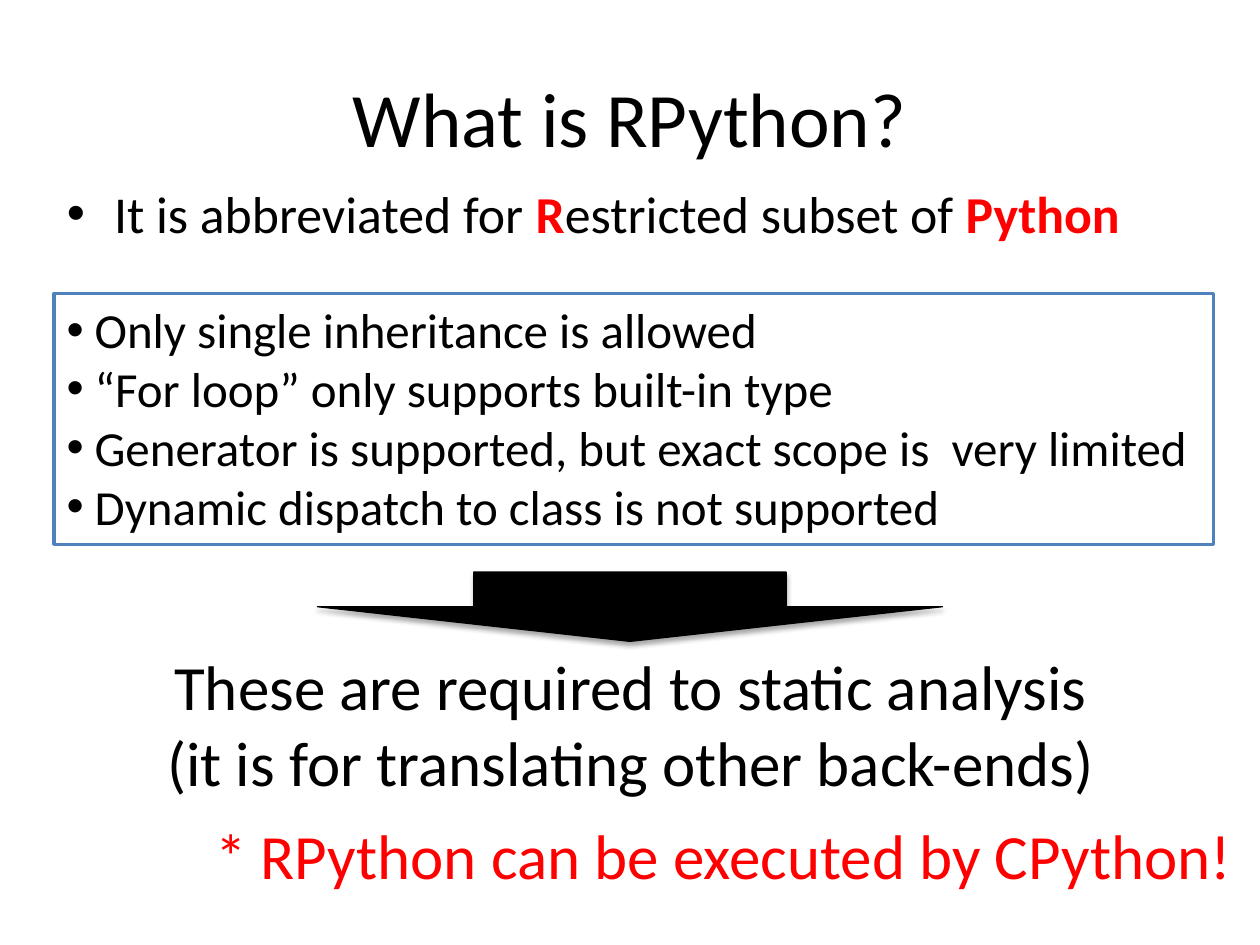
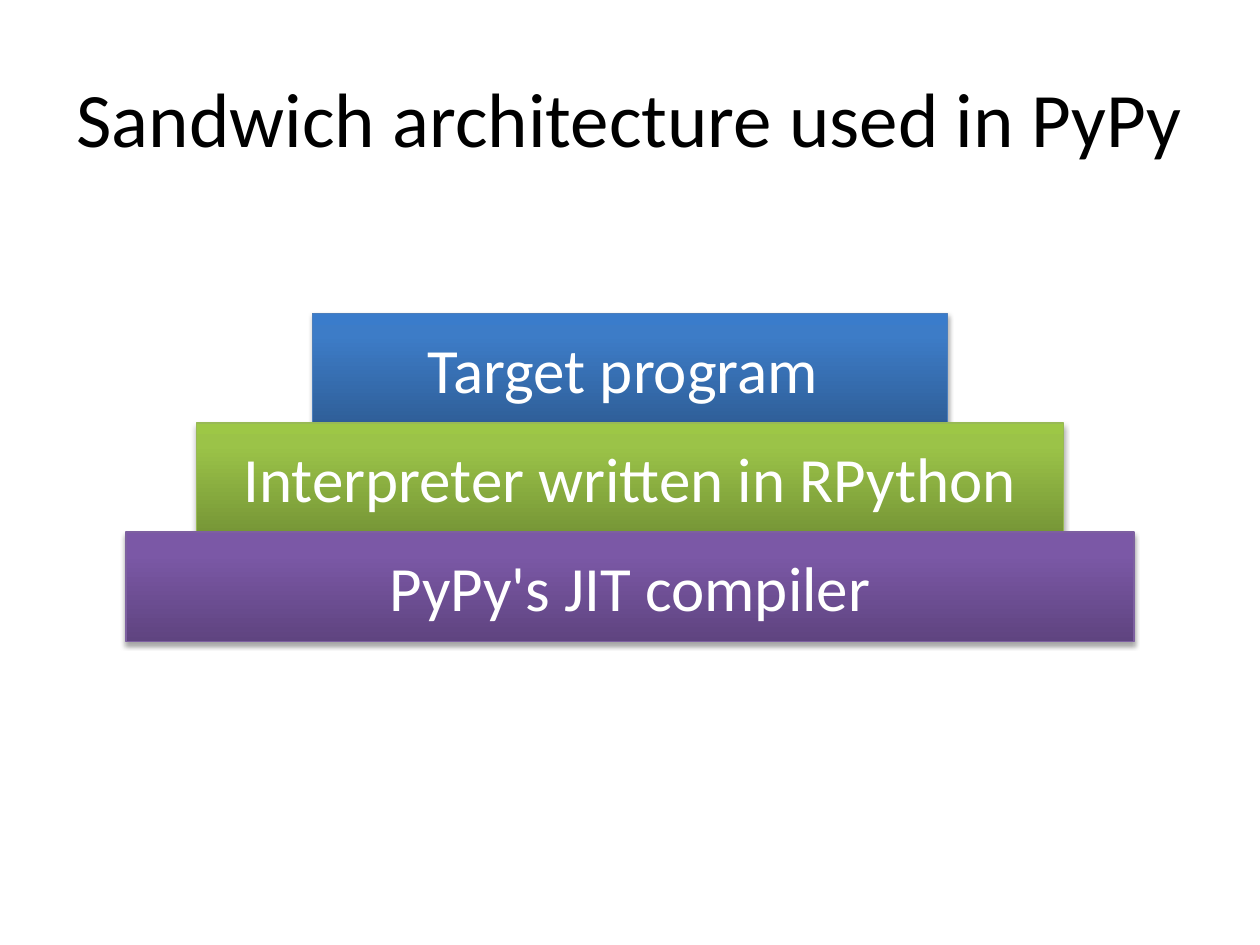
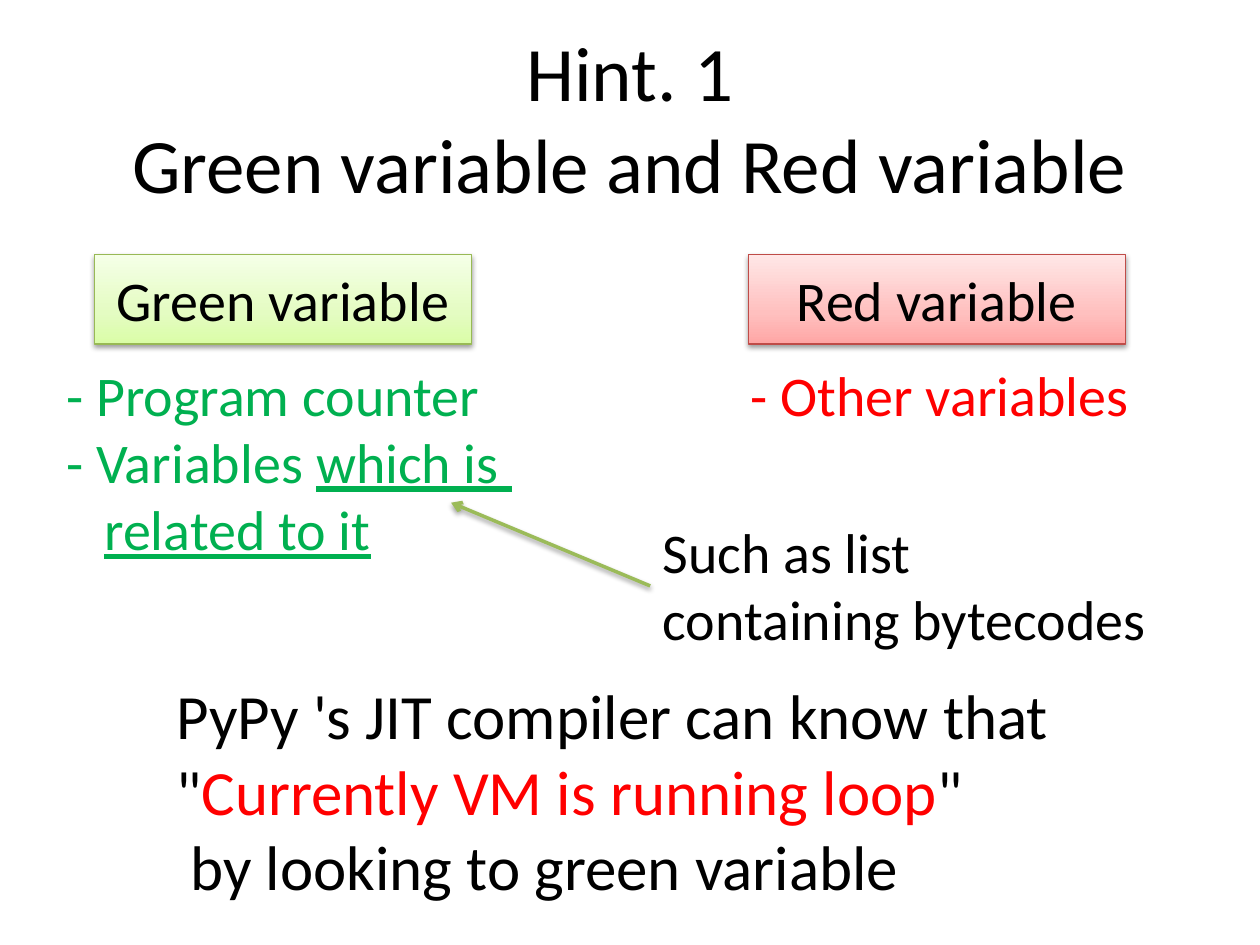
import copy
import dataclasses

import lxml.etree
import pptx
import pptx.dml.color
import pptx.enum.dml
import pptx.enum.shapes
import pptx.enum.text
import pptx.oxml.ns
import pptx.util

RGB = pptx.dml.color.RGBColor
ALIGN = pptx.enum.text.PP_ALIGN
ANCHOR = pptx.enum.text.MSO_ANCHOR
SHAPES = pptx.enum.shapes.MSO_SHAPE
qn = pptx.oxml.ns.qn

BLACK = RGB(0x00, 0x00, 0x00)
WHITE = RGB(0xFF, 0xFF, 0xFF)
RED = RGB(0xFF, 0x00, 0x00)
GREEN = RGB(0x00, 0xB0, 0x50)
FRAME_BLUE = RGB(0x4F, 0x81, 0xBD)
ARROW_GREEN = RGB(0x9B, 0xBB, 0x59)
BLUE_EDGE = RGB(0x4B, 0x7E, 0xBC)
GREEN_EDGE = RGB(0x98, 0xB9, 0x55)
PURPLE_EDGE = RGB(0x7D, 0x60, 0xA0)
RED_EDGE = RGB(0xBF, 0x4C, 0x48)
BLUE_FADE = (RGB(0x2F, 0x5F, 0x99), RGB(0x3D, 0x7C, 0xC7), RGB(0x3A, 0x7C, 0xCB))
GREEN_FADE = (RGB(0x77, 0x97, 0x37), RGB(0x9B, 0xC3, 0x48), RGB(0x9D, 0xC7, 0x46))
PURPLE_FADE = (RGB(0x5F, 0x44, 0x80), RGB(0x7B, 0x58, 0xA6), RGB(0x7C, 0x57, 0xA8))
PALE_GREEN_FADE = (RGB(0xDA, 0xFD, 0xA7), RGB(0xE4, 0xFC, 0xC2), RGB(0xF5, 0xFF, 0xE7))
PALE_RED_FADE = (RGB(0xFF, 0xA6, 0xA5), RGB(0xFF, 0xC0, 0xBF), RGB(0xFF, 0xE7, 0xE7))

FONT = "Calibri"
CELL = pptx.util.Inches(0.1)
COLUMNS, ROWS = 100, 75
STRONG_SHADOW = (35, 1.8)
SOFT_SHADOW = (38, 1.6)


@dataclasses.dataclass
class Box:
    left: float
    top: float
    width: float
    height: float

    def inner(self, left, top, width, height):
        return Box(self.left + left, self.top + top, width, height)

    def lengths(self):
        return [round(cells * CELL) for cells in (self.left, self.top, self.width, self.height)]


@dataclasses.dataclass
class Span:
    text: str
    color: RGB = BLACK
    bold: bool = False
    underline: bool = False


def add_span(para, span, size):
    run = para.add_run()
    run.text = span.text
    run.font.name = FONT
    run.font.size = pptx.util.Pt(size)
    run.font.color.rgb = span.color
    run.font.bold = span.bold
    run.font.underline = span.underline


def write(frame, paras, size, align=ALIGN.LEFT, anchor=ANCHOR.TOP):
    frame.vertical_anchor = anchor
    for index, spans in enumerate(paras):
        para = frame.paragraphs[0] if index == 0 else frame.add_paragraph()
        para.alignment = align
        for span in spans:
            add_span(para, span, size)


def grow_without_wrap(frame):
    frame.word_wrap = False
    frame.auto_size = pptx.enum.text.MSO_AUTO_SIZE.SHAPE_TO_FIT_TEXT


def add_text(page, box, paras, size, align=ALIGN.LEFT):
    shape = page.shapes.add_textbox(*box.lengths())
    grow_without_wrap(shape.text_frame)
    write(shape.text_frame, paras, size, align)
    return shape


def add_bullets(frame):
    for para in frame.paragraphs:
        properties = para._p.get_or_add_pPr()
        lxml.etree.SubElement(properties, qn("a:buFont"), typeface="Arial")
        lxml.etree.SubElement(properties, qn("a:buChar"), char="•")


def add_shadow(effects, opacity, distance):
    shadow = lxml.etree.SubElement(
        effects, qn("a:outerShdw"), blurRad=str(pptx.util.Pt(3.1)),
        dist=str(pptx.util.Pt(distance)), dir="5400000", rotWithShape="0")
    color = lxml.etree.SubElement(shadow, qn("a:srgbClr"), val=str(BLACK))
    lxml.etree.SubElement(color, qn("a:alpha"), val=str(opacity * 1000))


def add_block(page, kind, box, edge, weight=0.75, fill=None, shadow=None):
    shape = page.shapes.add_shape(kind, *box.lengths())
    if fill is not None:
        shape.fill.solid()
        shape.fill.fore_color.rgb = fill
    shape.line.color.rgb = edge
    shape.line.width = pptx.util.Pt(weight)
    shape.shadow.inherit = False
    if shadow:
        add_shadow(shape._element.spPr.find(qn("a:effectLst")), *shadow)
    return shape


def add_fade(shape, colors, middle):
    shape.fill.gradient()
    shape.fill.gradient_angle = 90
    stops = next(shape._element.spPr.iter(qn("a:gsLst")))
    stops.append(copy.deepcopy(stops[-1]))
    for stop, color, position in zip(shape.fill.gradient_stops, colors, (0, middle, 1)):
        stop.color.rgb = color
        stop.position = position


def add_label(page, box, text, size, color, edge, fade, middle, shadow):
    shape = add_block(page, SHAPES.RECTANGLE, box, edge, shadow=shadow)
    add_fade(shape, fade, middle)
    write(shape.text_frame, [[Span(text, color)]], size, ALIGN.CENTER, ANCHOR.MIDDLE)


def add_page(deck, layout, title_lines):
    page = deck.slides.add_slide(deck.slide_layouts.get_by_name(layout))
    title = page.shapes.title
    title.left, title.top, title.width, title.height = Box(5, 3, 90, 12.5).lengths()
    write(title.text_frame, [[Span(title_lines[0])]], 44, ALIGN.CENTER, ANCHOR.MIDDLE)
    para = title.text_frame.paragraphs[0]
    for line in title_lines[1:]:
        para.add_line_break()
        add_span(para, Span(line), 44)
    return page


def fill_definition(page, box):
    body = page.placeholders[1]
    body.left, body.top, body.width, body.height = box.lengths()
    write(body.text_frame, [[
        Span("It is abbreviated for "), Span("R", RED, bold=True),
        Span("estricted subset of "), Span("Python", RED, bold=True)]], 29.6)


def add_restrictions(page, box):
    lines = (
        " Only single inheritance is allowed",
        " “For loop” only supports built-in type",
        " Generator is supported, but exact scope is  very limited",
        " Dynamic dispatch to class is not supported",
    )
    frame = add_block(page, SHAPES.RECTANGLE, box, FRAME_BLUE, 2, WHITE)
    grow_without_wrap(frame.text_frame)
    write(frame.text_frame, [[Span(line)] for line in lines], 28)
    add_bullets(frame.text_frame)


def add_conclusion(page, box):
    add_block(page, SHAPES.DOWN_ARROW, box.inner(13.4, 0, 49.6, 5.5), BLACK,
              fill=BLACK, shadow=STRONG_SHADOW)
    add_text(page, box.inner(0, 5.5, box.width, 13.1), [
        [Span("These are required to static analysis")],
        [Span("(it is for translating other back-ends)")]], 36, ALIGN.CENTER)
    add_text(page, box.inner(4.3, 18.9, 83.4, 7.1),
             [[Span("* RPython can be executed by CPython!", RED)]], 36)


def add_sandwich(page, box):
    layers = (
        ("Target program ", 0.63, BLUE_EDGE, BLUE_FADE),
        ("Interpreter written in RPython", 0.86, GREEN_EDGE, GREEN_FADE),
        ("PyPy's JIT compiler", 1, PURPLE_EDGE, PURPLE_FADE),
    )
    height = box.height / len(layers)
    for row, (text, share, edge, fade) in enumerate(layers):
        width = box.width * share
        layer = box.inner((box.width - width) / 2, row * height, width, height)
        add_label(page, layer, text, 36, WHITE, edge, fade, 0.8, STRONG_SHADOW)


def add_variable_column(page, box, inset, header, edge, fade, paras):
    add_label(page, box.inner(inset, 0, 29.9, 7.1), header, 32, BLACK, edge, fade,
              0.35, SOFT_SHADOW)
    return add_text(page, box.inner(0, 7.9, box.width, box.height - 7.9), paras, 32)


def add_example(page, box):
    note = add_text(page, box.inner(15.8, 0.7, 40.8, 11.8),
                    [[Span("Such as list")], [Span("containing bytecodes")]], 32)
    tip_left, tip_top = box.lengths()[:2]
    arrow = page.shapes.add_connector(
        pptx.enum.shapes.MSO_CONNECTOR.STRAIGHT, note.left, note.top, tip_left, tip_top)
    arrow.begin_connect(note, 1)
    arrow.line.color.rgb = ARROW_GREEN
    arrow.line.width = pptx.util.Pt(2)
    properties = arrow._element.spPr
    lxml.etree.SubElement(properties.find(qn("a:ln")), qn("a:tailEnd"), type="arrow")
    add_shadow(lxml.etree.SubElement(properties, qn("a:effectLst")), *SOFT_SHADOW)


def add_insight(page, box):
    add_text(page, box, [
        [Span("PyPy 's JIT compiler can know that")],
        [Span('"'), Span("Currently VM is running loop", RED), Span('"')],
        [Span(" by looking to green variable")]], 36)


def build_definition(deck):
    page = add_page(deck, "Title and Content", ["What is RPython?"])
    fill_definition(page, Box(4.3, 13.9, 91.3, 7.1))
    add_restrictions(page, Box(4.3, 23.3, 92, 19.9))
    add_conclusion(page, Box(11.8, 45.4, 76.5, 26))


def build_architecture(deck):
    page = add_page(deck, "Title Only", ["Sandwich architecture used in PyPy"])
    add_sandwich(page, Box(10, 24.9, 80, 26))


def build_hint(deck):
    page = add_page(deck, "Title Only", ["Hint. 1", "Green variable and Red variable"])
    notes = add_variable_column(
        page, Box(4.3, 20.2, 37.7, 25.1), 3.2, "Green variable", GREEN_EDGE, PALE_GREEN_FADE, [
            [Span("- Program counter", GREEN)],
            [Span("- Variables ", GREEN), Span("which is ", GREEN, underline=True)],
            [Span("related to it", GREEN, underline=True)]])
    indented = notes.text_frame.paragraphs[-1]._p.get_or_add_pPr()
    indented.set("marL", str(3 * CELL))
    add_variable_column(page, Box(58.6, 20.2, 32.3, 14.3), 0.8, "Red variable", RED_EDGE,
                        PALE_RED_FADE, [[Span("- Other variables", RED)]])
    add_example(page, Box(35.8, 39.9, 56.6, 12.5))
    add_insight(page, Box(13, 53.2, 71.9, 19.2))


def main():
    deck = pptx.Presentation()
    deck.slide_width = COLUMNS * CELL
    deck.slide_height = ROWS * CELL
    build_definition(deck)
    build_architecture(deck)
    build_hint(deck)
    deck.save("out.pptx")


if __name__ == "__main__":
    main()
